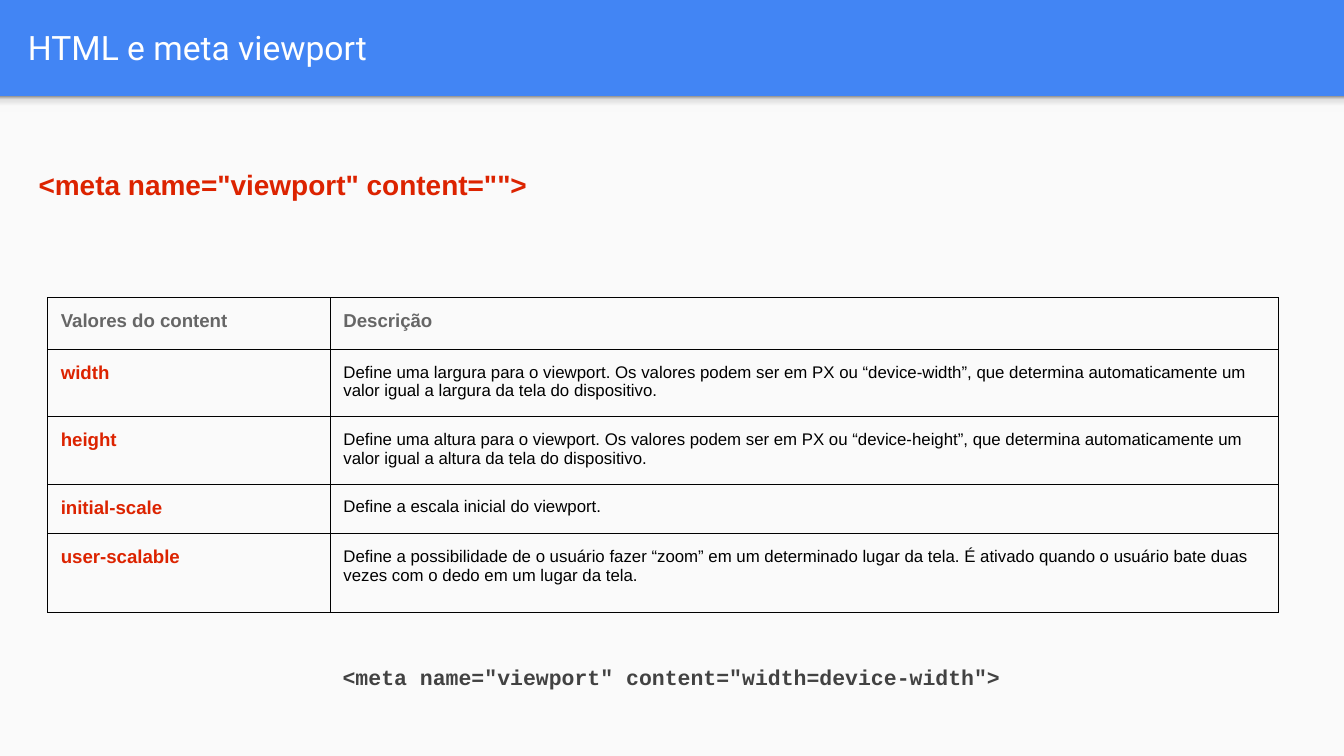
from copy import deepcopy
from lxml.etree import SubElement as Sub
from pptx import Presentation
from pptx.dml.color import RGBColor as Rgb
from pptx.enum.shapes import MSO_SHAPE as Geo
from pptx.enum.text import MSO_ANCHOR as Anchor, PP_ALIGN as Align
from pptx.oxml.ns import qn
from pptx.util import Cm, Pt

HUES = {"blue": "4285F4", "page": "FAFAFA", "white": "FFFFFF", "red": "DC2300",
        "head": "666666", "ink": "000000", "code": "424242"}
SHADE = [(0, "F9F9F9"), (0.36, "F9F9F9"), (0.8, "DEDEDE"), (1, "999999")]
PAD = Cm(0.25)

STYLES = {
    "title": {"name": "Roboto", "size": Pt(18), "bold": False, "hue": "white"},
    "tag": {"name": "Arial", "size": Pt(15), "bold": True, "hue": "red"},
    "head": {"name": "Arial", "size": Pt(10), "bold": True, "hue": "head"},
    "key": {"name": "Arial", "size": Pt(10), "bold": True, "hue": "red"},
    "body": {"name": "Arial", "size": Pt(9), "bold": False, "hue": "ink"},
    "code": {"name": "Courier New", "size": Pt(11.5), "bold": True, "hue": "code"},
}

ROWS = [
    (0.98, "Valores do content", "Descrição"),
    (1.27, "width", "Define uma largura para o viewport. Os valores podem ser em PX ou “device-width”, "
     "que determina automaticamente um valor igual a largura da tela do dispositivo."),
    (1.27, "height", "Define uma altura para o viewport. Os valores podem ser em PX ou “device-height”, "
     "que determina automaticamente um valor igual a altura da tela do dispositivo."),
    (0.94, "initial-scale", "Define a escala inicial do viewport."),
    (1.48, "user-scalable", "Define a possibilidade de o usuário fazer “zoom” em um determinado lugar da tela. "
     "É ativado quando o usuário bate duas vezes com o dedo em um lugar da tela."),
]


def color(key):
    return Rgb.from_string(HUES[key])


def write(para, text, style):
    run = para.add_run()
    run.text = text
    for key, value in STYLES[style].items():
        if key == "hue":
            run.font.color.rgb = color(value)
        else:
            setattr(run.font, key, value)


def add_text(slide, box, text, style, anchor=Anchor.TOP, **form):
    frame = slide.shapes.add_textbox(*map(Cm, box)).text_frame
    traits = {"word_wrap": True, "vertical_anchor": anchor, "margin_left": PAD,
              "margin_right": PAD, "margin_top": PAD, "margin_bottom": PAD}
    for key, value in traits.items():
        setattr(frame, key, value)
    para = frame.paragraphs[0]
    for key, value in form.items():
        setattr(para, key, value)
    write(para, text, style)


def add_rect(slide, box):
    rect = slide.shapes.add_shape(Geo.RECTANGLE, *map(Cm, box))
    rect.shadow.inherit = False
    rect.line.fill.background()
    return rect


def add_page(slide, box):
    left, top, width, height = box
    page = add_rect(slide, box)
    page.fill.solid()
    page.fill.fore_color.rgb = color("page")
    fade = add_rect(slide, (left, top, width, 0.3))
    fade.fill.gradient()
    fade.fill.gradient_angle = 90
    stops = fade._element.spPr.find(qn("a:gradFill")).find(qn("a:gsLst"))
    for _ in SHADE[2:]:
        stops.append(deepcopy(stops[0]))
    for stop, (place, tint) in zip(fade.fill.gradient_stops, SHADE):
        stop.position = place
        stop.color.rgb = Rgb.from_string(tint)


def add_edges(cell):
    props = cell._tc.get_or_add_tcPr()
    for index, side in enumerate(("lnL", "lnR", "lnT", "lnB")):
        line = props.makeelement(qn(f"a:{side}"), {"w": str(Pt(0.6))})
        Sub(Sub(line, qn("a:solidFill")), qn("a:srgbClr"), val=HUES["ink"])
        props.insert(index, line)


def add_grid(slide, box):
    left, top, width, first = box
    high = sum(row[0] for row in ROWS)
    grid = slide.shapes.add_table(len(ROWS), 2, *map(Cm, (left, top, width, high))).table
    for key in ("first_row", "horz_banding"):
        setattr(grid, key, False)
    for col, wide in zip(grid.columns, (first, width - first)):
        col.width = Cm(wide)
    for index, (tall, *texts) in enumerate(ROWS):
        grid.rows[index].height = Cm(tall)
        styles = ("key", "body") if index else ("head", "head")
        for cell, text, style in zip(grid.rows[index].cells, texts, styles):
            for side in ("left", "right", "top", "bottom"):
                setattr(cell, f"margin_{side}", PAD)
            cell.fill.background()
            add_edges(cell)
            write(cell.text_frame.paragraphs[0], text, style)


def main():
    deck = Presentation()
    deck.slide_width, deck.slide_height = Cm(25.4), Cm(14.29)
    slide = deck.slides.add_slide(deck.slide_layouts[6])
    slide.background.fill.solid()
    slide.background.fill.fore_color.rgb = color("blue")
    add_page(slide, (0, 1.82, 25.4, 12.47))
    add_text(slide, (0.28, 0.05, 24.5, 1.68), "HTML e meta viewport", "title", Anchor.MIDDLE)
    add_text(slide, (0.48, 2.82, 14.02, 1.14), '<meta name="viewport" content="">', "tag",
             line_spacing=1.15)
    add_grid(slide, (0.9, 5.63, 23.26, 5.34))
    add_text(slide, (4.72, 12.12, 15.95, 1.02),
             '<meta name="viewport" content="width=device-width">', "code",
             alignment=Align.CENTER, line_spacing=1.36)
    deck.save("out.pptx")


if __name__ == "__main__":
    main()
